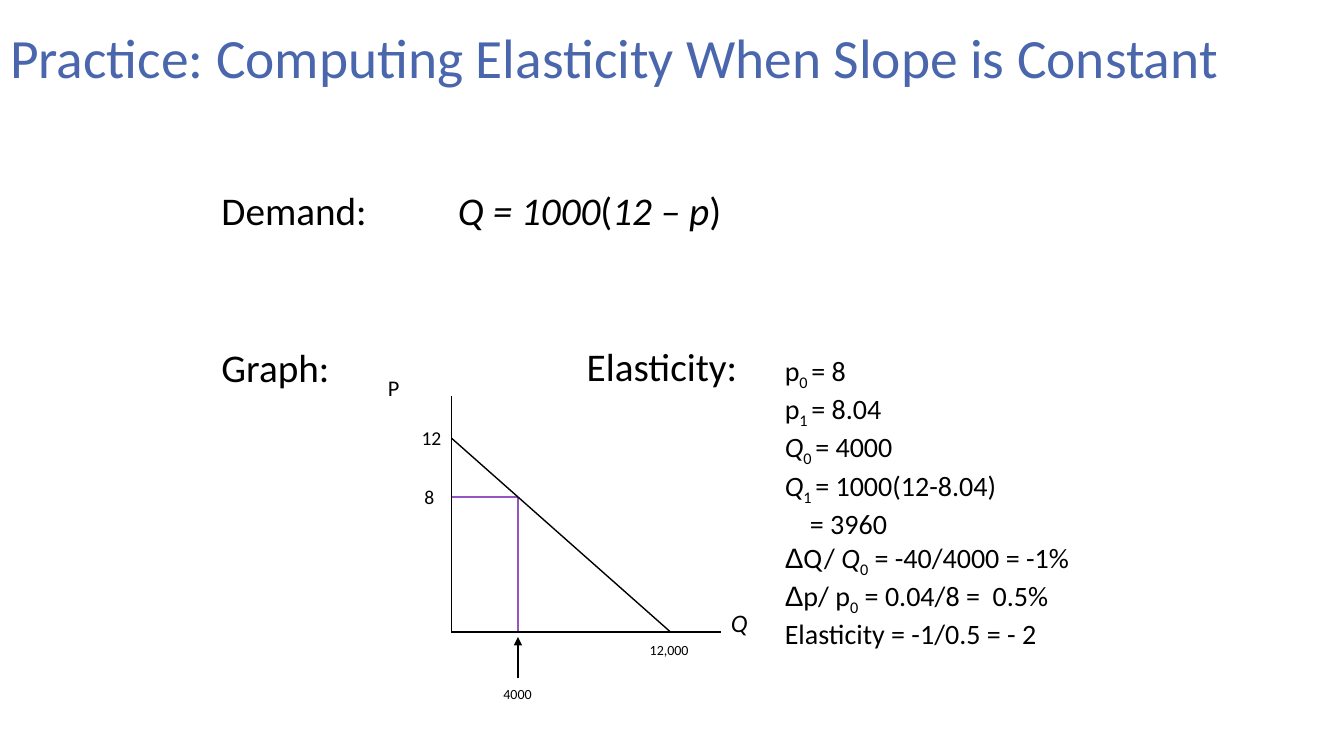
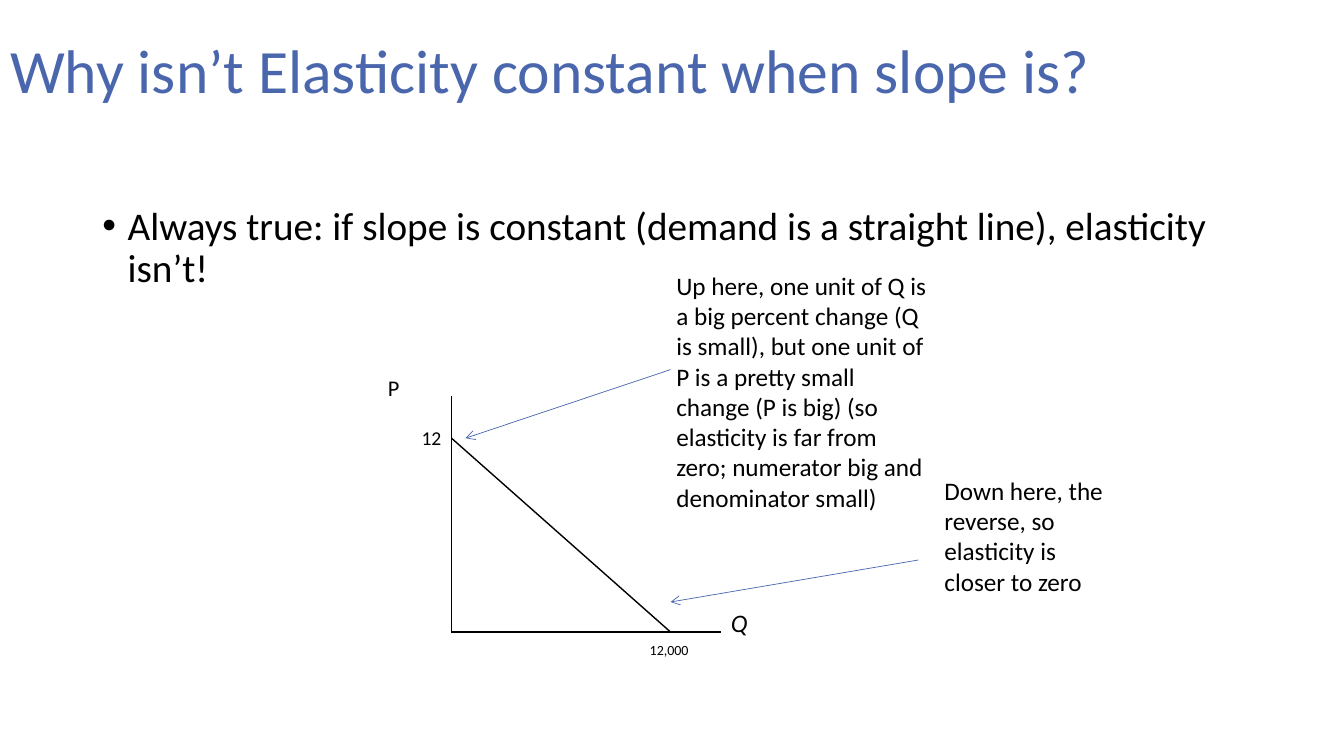
from lxml.etree import SubElement
from pptx import Presentation
from pptx.dml.color import RGBColor
from pptx.enum.shapes import MSO_CONNECTOR
from pptx.enum.text import MSO_ANCHOR, MSO_AUTO_SIZE, PP_ALIGN
from pptx.oxml.ns import qn
from pptx.util import Pt

COLORS = {"title": "4A66AC", "text": "000000", "guide": "9454C3", "pointer": "4A66AC"}
FONT = "Calibri"

AXIS_LEFT, AXIS_TOP = 322.5, 283
AXIS_RIGHT, AXIS_BOTTOM = 515, 451.5
DEMAND_TOP, DEMAND_RIGHT = 313, 479
PRICE_Y, QUANTITY_X = 355, 370

BODY_TOP = 133
GRAPH_ROW_OFFSET = 112

DEMAND = [("Q = 1000", "italic"), ("(", ""), ("12 – p", "italic"), (")", "")]
EQUATIONS = [
    [("p", ""), ("0 ", "sub"), ("= 8", "")],
    [("p", ""), ("1 ", "sub"), ("= 8.04", "")],
    [("Q", "italic"), ("0 ", "sub"), ("= 4000", "")],
    [("Q", "italic"), ("1 ", "sub"), ("= 1000(12-8.04)", "")],
    [("= 3960", "")],
    [("Δ", "greek"), ("Q/", ""), (" Q", "italic"), ("0", "sub"), (" = -40/4000 = -1%", "")],
    [("Δ", "greek"), ("p/ p", ""), ("0", "sub"), (" = 0.04/8 =  0.5%", "")],
    [("Elasticity = -1/0.5 = - 2", "")],
]
CONTINUED_EQUATION = 4


def color(name):
    return RGBColor.from_string(COLORS[name])


def place(shape, left, top, width, height):
    shape.left, shape.top = Pt(left), Pt(top)
    shape.width, shape.height = Pt(width), Pt(height)


def set_font(paragraph, size, color_name="text"):
    font = paragraph.font
    font.name, font.size = FONT, Pt(size)
    font.color.rgb = color(color_name)


def set_indent(paragraph, margin, first_line=0):
    properties = paragraph._p.get_or_add_pPr()
    properties.set("marL", str(Pt(margin)))
    properties.set("indent", str(Pt(first_line)))


def add_spans(paragraph, spans):
    """Add (text, style) runs; a style is "", "italic", "sub" or "greek"."""
    for text, style in spans:
        span = paragraph.add_run()
        span.text = text
        if style == "italic":
            span.font.italic = True
        elif style == "sub":
            span.font._element.set("baseline", "-25000")
        elif style == "greek":
            span.font.name = "Arial"


def add_page(deck, title, title_size, title_box, body_box):
    """Add a slide with its title set, and return it with its empty body frame."""
    page = deck.slides.add_slide(deck.slide_layouts[1])
    place(page.shapes.title, *title_box)
    frame = page.shapes.title.text_frame
    frame.text = title
    frame.auto_size = MSO_AUTO_SIZE.NONE
    frame.vertical_anchor = MSO_ANCHOR.MIDDLE
    paragraph = frame.paragraphs[0]
    paragraph.alignment = PP_ALIGN.LEFT
    paragraph.line_spacing = 0.9
    set_font(paragraph, title_size, "title")

    body = page.placeholders[1]
    place(body, *body_box)
    body.text_frame.auto_size = MSO_AUTO_SIZE.NONE
    return page, body.text_frame


def format_body(paragraph, space_before=10):
    paragraph.line_spacing = 0.9
    paragraph.space_before = Pt(space_before)
    set_font(paragraph, 28)


def add_heading(paragraph, text, space_before):
    """Fill a body line that has no bullet."""
    paragraph.text = text
    set_indent(paragraph, 0)
    SubElement(paragraph._p.get_or_add_pPr(), qn("a:buNone"))
    format_body(paragraph, space_before)


def add_text(page, box, paragraphs, size, wrap=True):
    shape = page.shapes.add_textbox(*map(Pt, box))
    frame = shape.text_frame
    frame.word_wrap = wrap
    frame.auto_size = MSO_AUTO_SIZE.SHAPE_TO_FIT_TEXT
    for index, spans in enumerate(paragraphs):
        paragraph = frame.add_paragraph() if index else frame.paragraphs[0]
        add_spans(paragraph, spans)
        set_font(paragraph, size)
    return frame


def add_beside_heading(page, left, top, width, spans):
    """Add text on the same baseline as a body line that starts at top."""
    frame = add_text(page, (left, top, width, 38), [spans], 28)
    frame.paragraphs[0].line_spacing = 0.9


def add_label(page, text, size, box, style=""):
    add_text(page, box, [[(text, style)]], size, wrap=False)


def add_line(page, start, end, color_name="text", width=1, arrow=None):
    line = page.shapes.add_connector(MSO_CONNECTOR.STRAIGHT, *map(Pt, start + end))
    line.line.color.rgb = color(color_name)
    line.line.width = Pt(width)
    if arrow:
        SubElement(line.line._get_or_add_ln(), qn("a:tailEnd"), type=arrow)
    SubElement(line._element.spPr, qn("a:effectLst"))


def add_demand_graph(page):
    origin = (AXIS_LEFT, AXIS_BOTTOM)
    add_line(page, (AXIS_LEFT, AXIS_TOP), origin)
    add_line(page, origin, (AXIS_RIGHT, AXIS_BOTTOM))
    add_line(page, (AXIS_LEFT, DEMAND_TOP), (DEMAND_RIGHT, AXIS_BOTTOM))
    add_label(page, "12", 14, (294, 301, 28.5, 24))
    add_label(page, "12,000", 10, (457, 455, 43.5, 19.5))
    add_label(page, "P", 16, (270, 264, 23, 26.5))
    add_label(page, "Q", 18, (515, 430, 26.5, 29), "italic")


def add_price_guides(page):
    point = (QUANTITY_X, PRICE_Y)
    add_line(page, (AXIS_LEFT, PRICE_Y), point, "guide")
    add_line(page, (QUANTITY_X, AXIS_BOTTOM), point, "guide")
    add_line(page, (QUANTITY_X, 484), (QUANTITY_X, 455), arrow="triangle")
    add_label(page, "8", 14, (296, 343, 21.5, 24))
    add_label(page, "4000", 10, (352.5, 486, 35, 19.5))


def build_practice(deck):
    page, body = add_page(deck, "Practice: Computing Elasticity When Slope is Constant",
                          39.6, (0, 1, 917, 85), (151, BODY_TOP, 588, 384))
    add_heading(body.paragraphs[0], "Demand:", 10)
    add_heading(body.add_paragraph(), "Graph:", 82)
    add_beside_heading(page, 320, BODY_TOP, 220, DEMAND)
    add_beside_heading(page, 412, BODY_TOP + GRAPH_ROW_OFFSET, 140, [("Elasticity:", "")])
    add_price_guides(page)
    add_demand_graph(page)
    equations = add_text(page, (553.5, 249, 244, 225), EQUATIONS, 20)
    set_indent(equations.paragraphs[CONTINUED_EQUATION], 18)


def build_reason(deck):
    page, body = add_page(deck, "Why isn’t Elasticity constant when slope is?",
                          44, (0, 0, 828, 104.5), (66, 144, 828, 343))
    body.text = ("Always true: if slope is constant (demand is a straight line), "
                 "elasticity isn’t!")
    set_indent(body.paragraphs[0], 18, -18)
    format_body(body.paragraphs[0])
    add_demand_graph(page)
    add_line(page, (479, 264), (332.5, 313), "pointer", 0.5, "arrow")
    add_line(page, (656, 400), (479, 430), "pointer", 0.5, "arrow")
    upper = ("Up here, one unit of Q is a big percent change (Q is small), but one unit "
             "of P is a pretty small change (P is big) (so elasticity is far from zero; "
             "numerator big and denominator small)")
    lower = "Down here, the reverse, so elasticity is closer to zero"
    add_text(page, (476, 189.5, 193, 181.5), [[(upper, "")]], 18)
    add_text(page, (667.5, 336, 130, 94.5), [[(lower, "")]], 18)


def main():
    deck = Presentation()
    deck.slide_width, deck.slide_height = Pt(960), Pt(540)
    build_practice(deck)
    build_reason(deck)
    deck.save("out.pptx")


if __name__ == "__main__":
    main()
